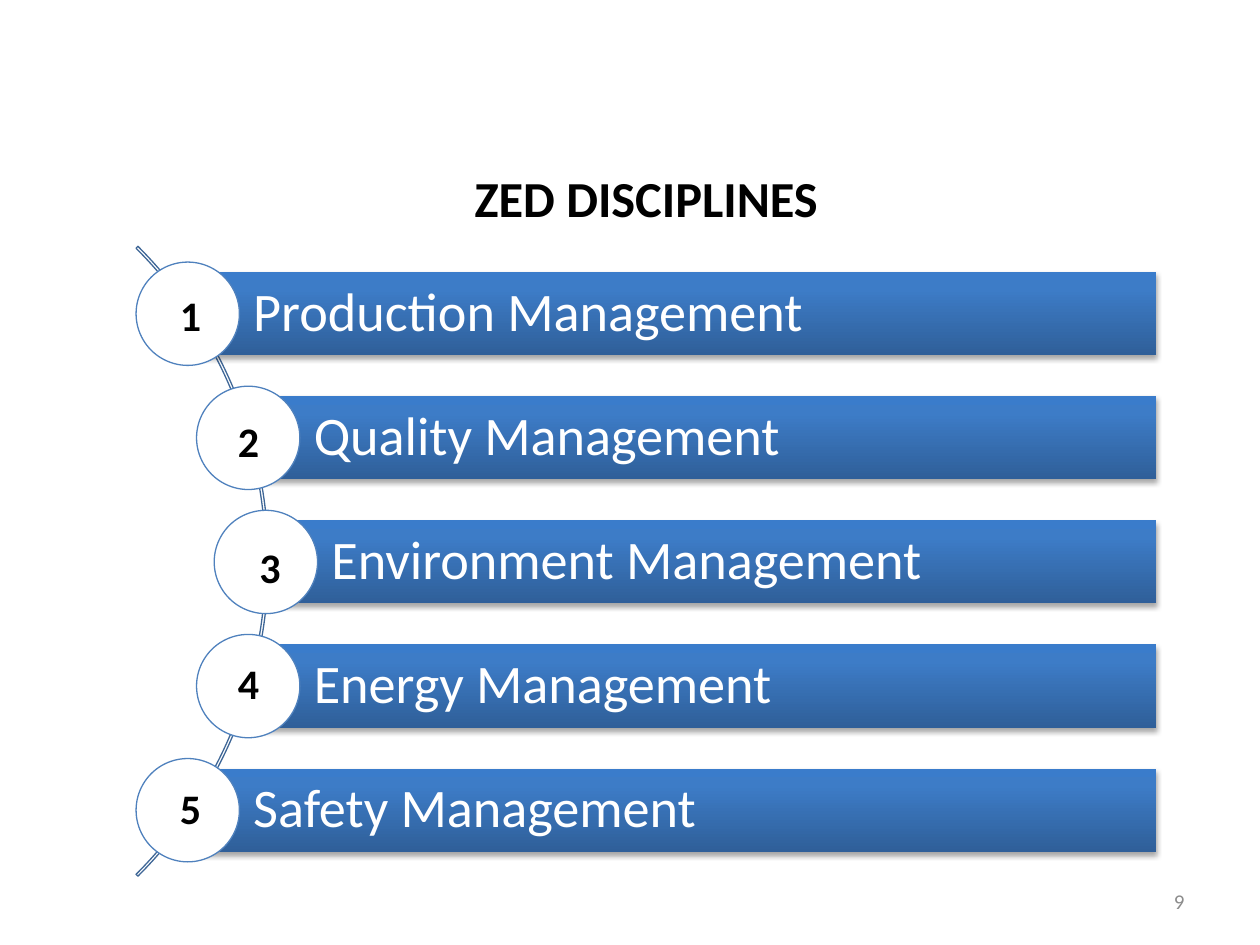
from lxml.etree import SubElement
from pptx import Presentation
from pptx.dml.color import RGBColor
from pptx.enum.shapes import MSO_SHAPE
from pptx.enum.text import MSO_ANCHOR, MSO_AUTO_SIZE, PP_ALIGN
from pptx.oxml.ns import qn
from pptx.util import Inches, Pt

FONT = "Calibri"
BLACK = RGBColor(0x00, 0x00, 0x00)
WHITE = RGBColor(0xFF, 0xFF, 0xFF)
GRAY = RGBColor(0x8C, 0x8C, 0x8C)
ARC_BLUE = RGBColor(0x3F, 0x67, 0x97)
CIRCLE_BLUE = RGBColor(0x4F, 0x81, 0xBD)
BAR_STOPS = [
    (0, RGBColor(0x2F, 0x5F, 0x99)),
    (80, RGBColor(0x3D, 0x7C, 0xC7)),
    (100, RGBColor(0x3A, 0x7C, 0xCB)),
]

# Bar text, bar left, number left, number top
DISCIPLINES = [
    ("Production Management", 1.49, 1.33, 2.25),
    ("Quality Management", 1.97, 1.79, 3.25),
    ("Environment Management", 2.11, 1.96, 4.25),
    ("Energy Management", 1.97, 1.79, 5.17),
    ("Safety Management", 1.49, 1.33, 6.16),
]
BAR_TOP, BAR_PITCH, BAR_HEIGHT, BAR_RIGHT = 2.16, 0.985, 0.66, 9.175
CIRCLE_SIZE = 0.82


def add_run(paragraph, text, size, color, bold=False):
    run = paragraph.add_run()
    run.text = text
    run.font.name = FONT
    run.font.size = Pt(size)
    run.font.bold = bold
    run.font.color.rgb = color


def add_plain_shape(slide, kind, left, top, width, height):
    shape = slide.shapes.add_shape(
        kind, Inches(left), Inches(top), Inches(width), Inches(height))
    shape.shadow.inherit = False
    return shape


def add_color(parent, color, alpha=None):
    element = SubElement(parent, qn("a:srgbClr"), val=str(color))
    if alpha is not None:
        SubElement(element, qn("a:alpha"), val=str(alpha * 1000))


def fill_gradient(shape):
    shape.fill.gradient()
    shape.fill.gradient_angle = 90
    stop_list = next(shape.element.spPr.iter(qn("a:gsLst")))
    for stop in list(stop_list):
        stop_list.remove(stop)
    for position, color in BAR_STOPS:
        stop = SubElement(stop_list, qn("a:gs"), pos=str(position * 1000))
        add_color(stop, color)


def add_shadow(shape):
    effects = shape.element.spPr.find(qn("a:effectLst"))
    shadow = SubElement(
        effects, qn("a:outerShdw"), blurRad=str(Pt(3.1)), dist=str(Pt(1.8)),
        dir="5400000", rotWithShape="0")
    add_color(shadow, BLACK, alpha=35)


def add_title(slide, text):
    title = slide.shapes.title
    title.left, title.top = Inches(3.17), Inches(1.28)
    title.width, title.height = Inches(3.92), Inches(0.58)
    frame = title.text_frame
    frame.auto_size = MSO_AUTO_SIZE.NONE
    frame.vertical_anchor = MSO_ANCHOR.MIDDLE
    paragraph = frame.paragraphs[0]
    paragraph.alignment = PP_ALIGN.CENTER
    add_run(paragraph, text, 28.8, BLACK, bold=True)


def add_slide_number(slide, text):
    box = slide.shapes.add_textbox(
        Inches(7.17), Inches(6.95), Inches(2.33), Inches(0.4))
    frame = box.text_frame
    frame.word_wrap = True
    frame.vertical_anchor = MSO_ANCHOR.MIDDLE
    paragraph = frame.paragraphs[0]
    paragraph.alignment = PP_ALIGN.RIGHT
    add_run(paragraph, text, 12, GRAY)


def add_arc(slide):
    arc = add_plain_shape(slide, MSO_SHAPE.BLOCK_ARC, -4.94, 0.92, 7.07, 7.07)
    for index, value in enumerate((189, 27, 0.003)):
        arc.adjustments[index] = value
    arc.fill.background()
    arc.line.color.rgb = ARC_BLUE
    arc.line.width = Pt(0.75)


def add_bar(slide, text, left, top):
    bar = add_plain_shape(
        slide, MSO_SHAPE.RECTANGLE, left, top, BAR_RIGHT - left, BAR_HEIGHT)
    fill_gradient(bar)
    bar.line.fill.background()
    add_shadow(bar)
    frame = bar.text_frame
    frame.word_wrap = True
    frame.vertical_anchor = MSO_ANCHOR.MIDDLE
    frame.margin_left = Inches(0.52)
    frame.margin_right = frame.margin_top = frame.margin_bottom = Inches(0.09)
    paragraph = frame.paragraphs[0]
    paragraph.alignment = PP_ALIGN.LEFT
    paragraph.line_spacing = 0.9
    add_run(paragraph, text, 31, WHITE)


def add_circle(slide, left, top):
    circle = add_plain_shape(
        slide, MSO_SHAPE.OVAL, left, top, CIRCLE_SIZE, CIRCLE_SIZE)
    circle.fill.solid()
    circle.fill.fore_color.rgb = WHITE
    circle.line.color.rgb = CIRCLE_BLUE
    circle.line.width = Pt(0.75)


def add_number(slide, text, left, top):
    box = slide.shapes.add_textbox(
        Inches(left), Inches(top), Inches(0.37), Inches(0.5))
    frame = box.text_frame
    frame.word_wrap = False
    frame.auto_size = MSO_AUTO_SIZE.SHAPE_TO_FIT_TEXT
    add_run(frame.paragraphs[0], text, 24, BLACK, bold=True)


def main():
    presentation = Presentation()
    presentation.slide_width = Inches(10)
    presentation.slide_height = Inches(7.5)
    slide = presentation.slides.add_slide(presentation.slide_layouts[5])

    # Heading and page number
    add_title(slide, "ZED DISCIPLINES")
    add_slide_number(slide, "9")

    # Curved list: each circle is centred on the left end of its bar
    add_arc(slide)
    for index, (text, bar_left, _, _) in enumerate(DISCIPLINES):
        bar_top = BAR_TOP + index * BAR_PITCH
        add_bar(slide, text, bar_left, bar_top)
        add_circle(slide, bar_left - CIRCLE_SIZE / 2,
                   bar_top + (BAR_HEIGHT - CIRCLE_SIZE) / 2)

    # Numbers over the circles
    for number, (_, _, left, top) in enumerate(DISCIPLINES, start=1):
        add_number(slide, str(number), left, top)

    presentation.save("out.pptx")


if __name__ == "__main__":
    main()
